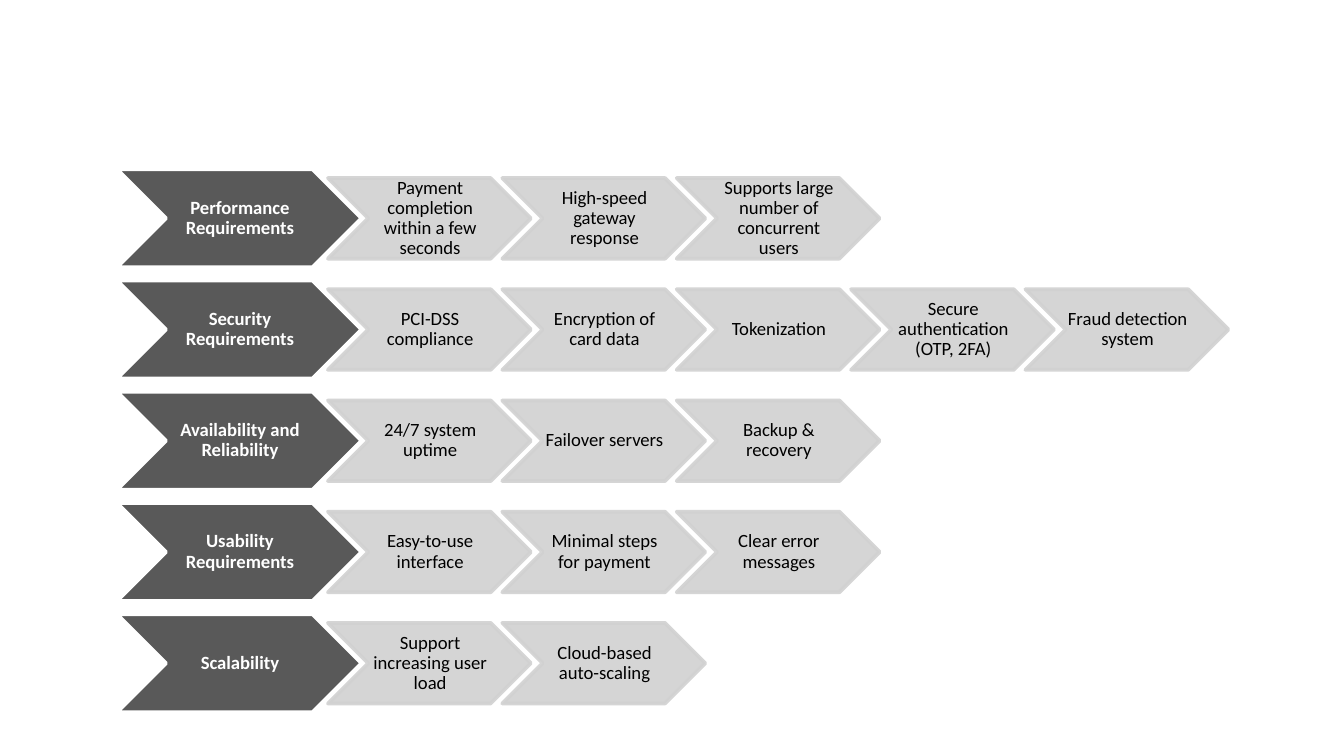
import lxml.etree
import pptx
import pptx.dml.color
import pptx.enum.shapes
import pptx.enum.text
import pptx.oxml.ns
import pptx.util

Inches = pptx.util.Inches

# Each requirement category with its details
requirements = {
    "Performance Requirements": [
        "Payment completion within a few seconds",
        "High-speed gateway response",
        "Supports large number of concurrent users",
    ],
    "Security Requirements": [
        "PCI-DSS compliance",
        "Encryption of card data",
        "Tokenization",
        "Secure authentication (OTP, 2FA)",
        "Fraud detection system",
    ],
    "Availability and Reliability": [
        "24/7 system uptime", "Failover servers", "Backup & recovery",
    ],
    "Usability Requirements": [
        "Easy-to-use interface", "Minimal steps for payment", "Clear error messages",
    ],
    "Scalability": ["Support increasing user load", "Cloud-based auto-scaling"],
}

category_style = {"width": 1.82, "height": 0.73, "fill": "595959", "line": "FFFFFF",
                  "text": "FFFFFF", "bold": True, "opacity": 100}
detail_style = {"width": 1.51, "height": 0.6, "fill": "D1D1D1", "line": "D1D1D1",
                "text": "000000", "bold": False, "opacity": 90}

# Row and column grid, in inches
first_top, last_top = 1.26, 4.57
row_step = (last_top - first_top) / (len(requirements) - 1)
category_left = 0.87
first_detail_left, last_detail_left = 2.44, 7.63
column_step = (last_detail_left - first_detail_left) / 4


def set_color(color_format, value):
    color_format.rgb = pptx.dml.color.RGBColor.from_string(value)


def add_chevron(left, middle, text, style):
    shape = slide.shapes.add_shape(
        pptx.enum.shapes.MSO_SHAPE.CHEVRON,
        Inches(left), Inches(middle - style["height"] / 2),
        Inches(style["width"]), Inches(style["height"]))
    shape.shadow.inherit = False
    shape.fill.solid()
    set_color(shape.fill.fore_color, style["fill"])
    set_color(shape.line.color, style["line"])
    shape.line.width = pptx.util.Pt(2)

    # Transparency of fill and line
    if style["opacity"] < 100:
        for color in shape.fill._xPr.iter(pptx.oxml.ns.qn("a:srgbClr")):
            alpha = lxml.etree.SubElement(color, pptx.oxml.ns.qn("a:alpha"))
            alpha.set("val", str(style["opacity"] * 1000))

    # Label
    frame = shape.text_frame
    frame_format = {
        "word_wrap": True,
        "vertical_anchor": pptx.enum.text.MSO_ANCHOR.MIDDLE,
        "margin_left": Inches(0.01), "margin_top": Inches(0.01),
        "margin_right": 0, "margin_bottom": Inches(0.01),
    }
    for name, value in frame_format.items():
        setattr(frame, name, value)
    paragraph = frame.paragraphs[0]
    paragraph.text = text
    paragraph.alignment = pptx.enum.text.PP_ALIGN.CENTER
    paragraph.line_spacing = 0.9
    run_font = paragraph.runs[0].font
    font_format = {"name": "Calibri", "size": pptx.util.Pt(10), "bold": style["bold"]}
    for name, value in font_format.items():
        setattr(run_font, name, value)
    set_color(run_font.color, style["text"])


# Widescreen slide, 16 to 9
presentation = pptx.Presentation()
presentation.slide_width = Inches(10)
presentation.slide_height = Inches(10 * 9 / 16)
slide = presentation.slides.add_slide(presentation.slide_layouts[6])

# One row of chevrons per category
for row, (category, details) in enumerate(requirements.items()):
    middle = first_top + row * row_step + category_style["height"] / 2
    add_chevron(category_left, middle, category, category_style)
    for column, detail in enumerate(details):
        add_chevron(first_detail_left + column * column_step, middle, detail, detail_style)

presentation.save("out.pptx")
